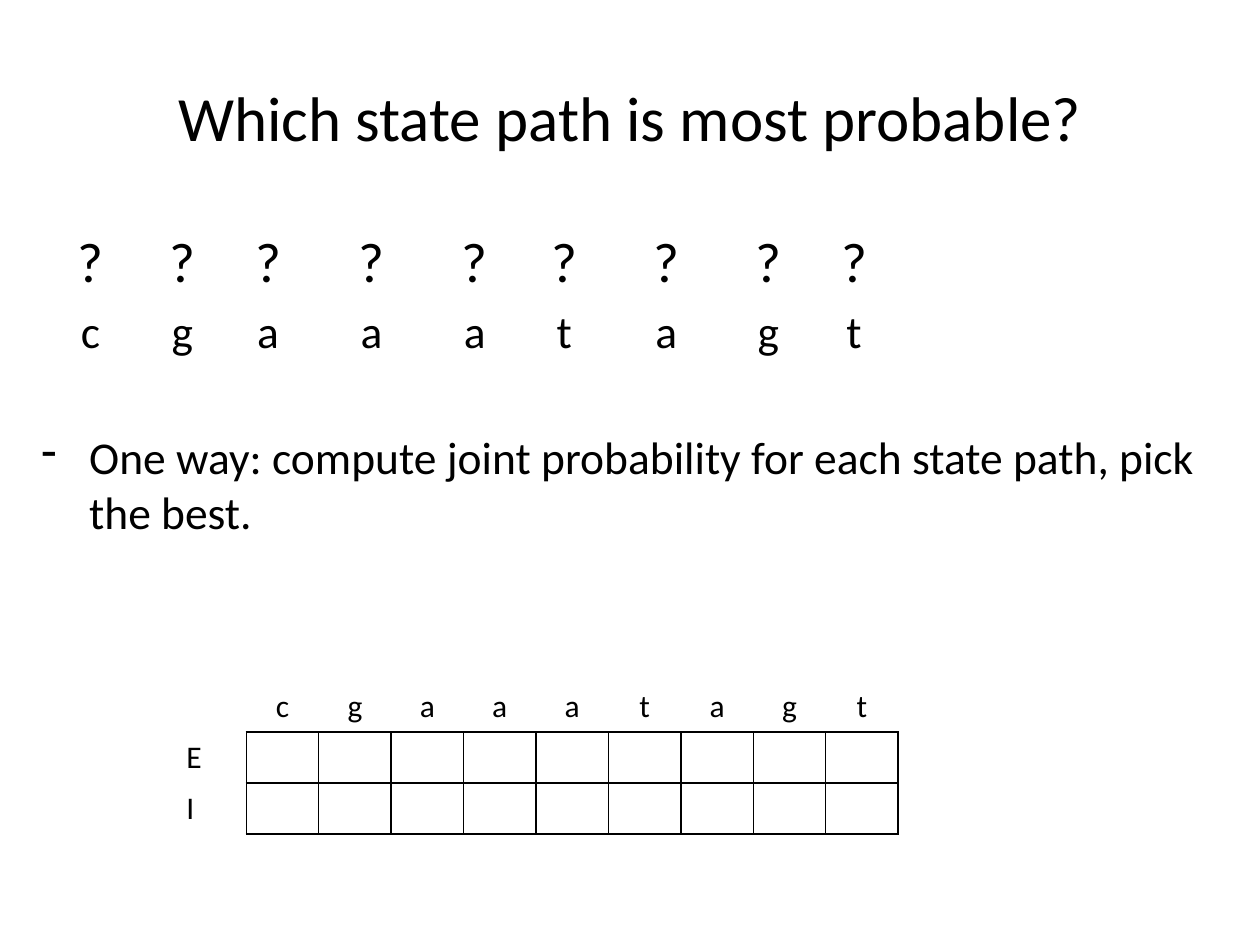
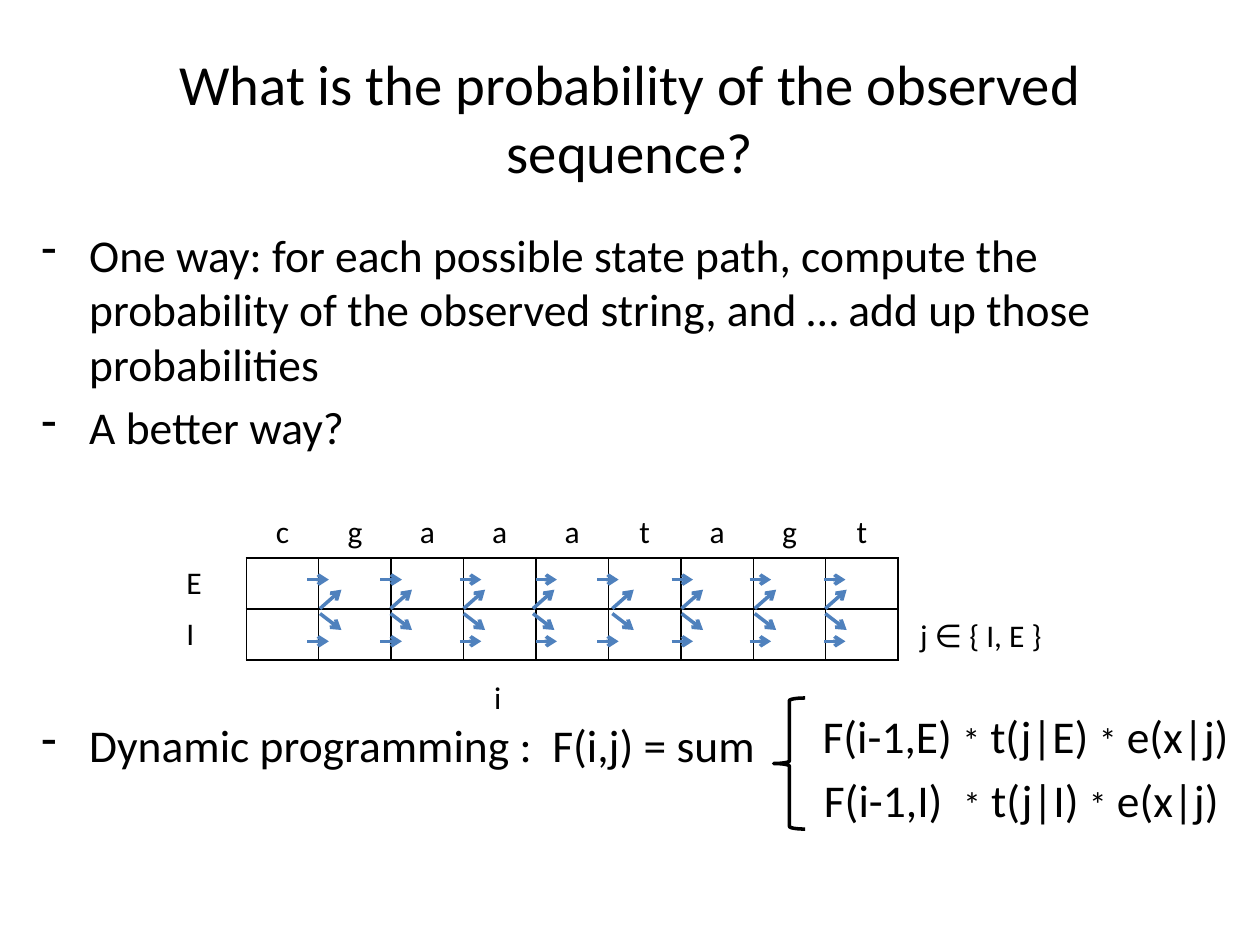
from lxml import etree
from pptx import Presentation
from pptx.dml.color import RGBColor
from pptx.enum.shapes import MSO_CONNECTOR, MSO_SHAPE
from pptx.enum.text import MSO_ANCHOR, PP_ALIGN
from pptx.oxml.ns import qn
from pptx.util import Inches, Pt

LEFT, CENTER = PP_ALIGN.LEFT, PP_ALIGN.CENTER
TOP, MIDDLE = MSO_ANCHOR.TOP, MSO_ANCHOR.MIDDLE
STRAIGHT = MSO_CONNECTOR.STRAIGHT
LEFT_BRACE = MSO_SHAPE.LEFT_BRACE

COLORS = {"ink": "000000", "arrow": "4F81BD"}
FONT = "Calibri"
BODY_SIZE, LABEL_SIZE, TIMES_SIZE = 26, 18, 20
SPACE_SHARE = 0.2
HANG = 0.38

SEQUENCE = "cgaaatagt"
STATES = "EI"
TITLE_BOX = (0.5, 0.3, 9, 1.25)
BODY_BOX = (0.23, 1.75, 9.5, 4.95)
SEQUENCE_STOPS = (0.39, 1.12, 1.8, 2.62, 3.44, 4.15, 4.96, 5.77, 6.45)

PATH_TITLE = ("Which state path is most probable?", 36)
PATH_ROWS = [("?" * len(SEQUENCE), 32), (SEQUENCE, BODY_SIZE)]
PATH_BULLETS = [
    ("One way: compute joint probability for each state path, pick the best.", 41),
]

TOTAL_TITLE = ("What is the probability of the observed sequence?", 32.4)
TOTAL_BULLETS = [
    ("One way: for each possible state path, compute the probability of the "
     "observed string, and … add up those probabilities", None),
    ("A better way?", None),
    ("Dynamic programming :  F(i,j) = sum", 150.5),
]
RECURRENCE = [
    ("F(i-1,E) * t(j|E) * e(x|j)", (6.43, 5.57, 3.44, 0.54)),
    ("F(i-1,I)  * t(j|I) * e(x|j)", (6.44, 6.08, 3.35, 0.54)),
]
INDEX_LABELS = [
    ("i", (3.82, 5.33, 0.26, 0.4)),
    ("j ∈ { I, E }", (7.18, 4.84, 1.21, 0.4)),
]
BRACE_BOX = (6.14, 5.54, 0.25, 1.04)

TRELLIS_LEFT, TRELLIS_WIDTH, TRELLIS_HEIGHT = 1.38, 5.75, 1.62
TRELLIS_TOPS = {"path": 5, "total": 3.62}
ARROW_LENGTH = 0.17
STAY_STARTS = (2.44, 3.02, 3.65, 4.25, 4.74, 5.33, 5.95, 6.54)
SWITCH_STARTS = (2.54, 3.1, 3.68, 4.23, 4.86, 5.41, 5.99, 6.55)
STAY_LEVELS = (5.09, 4.6)
SWITCH_LEVELS = ((4.87, 5), (4.83, 4.68))


def inches(lengths):
    return [Inches(length) for length in lengths]


def color(name):
    return RGBColor.from_string(COLORS[name])


def add_xml(parent, tag, **attributes):
    return etree.SubElement(parent, qn(tag), attributes)


def style(paragraph, size, align=LEFT):
    paragraph.alignment = align
    font = paragraph.font
    font.name, font.size = FONT, Pt(size)
    font.color.rgb = color("ink")


def add_frame(slide, box, wrap=True, anchor=TOP):
    frame = slide.shapes.add_textbox(*inches(box)).text_frame
    frame.word_wrap = wrap
    frame.vertical_anchor = anchor
    return frame


def add_label(slide, text, box, size, align=CENTER, wrap=False, anchor=TOP):
    paragraph = add_frame(slide, box, wrap, anchor).paragraphs[0]
    paragraph.text = text
    style(paragraph, size, align)


def add_body(slide, rows, bullets):
    frame = add_frame(slide, BODY_BOX)
    lines = [(row, size, None, False) for row, size in rows]
    lines += [(text, BODY_SIZE, gap, True) for text, gap in bullets]
    for number, (text, size, gap, bulleted) in enumerate(lines):
        paragraph = frame.add_paragraph() if number else frame.paragraphs[0]
        paragraph.space_before = Pt(gap or size * SPACE_SHARE)
        properties = paragraph._p.get_or_add_pPr()
        if bulleted:
            paragraph.text = text
            properties.set("marL", str(Inches(HANG)))
            properties.set("indent", str(-Inches(HANG)))
            add_xml(properties, "a:buChar", char="-")
        else:
            paragraph.text = "".join("\t" + symbol for symbol in text)
            stops = add_xml(properties, "a:tabLst")
            for stop in SEQUENCE_STOPS:
                add_xml(stops, "a:tab", pos=str(Inches(stop)), algn="ctr")
        style(paragraph, size)


def set_borders(cell, sides):
    properties = cell._tc.get_or_add_tcPr()
    for side in "LRTB":
        edge = add_xml(properties, "a:ln" + side, w=str(Pt(1)))
        if side in sides:
            fill = add_xml(edge, "a:solidFill")
            add_xml(fill, "a:srgbClr", val=COLORS["ink"])
        else:
            add_xml(edge, "a:noFill")
    cell.fill.background()


def add_trellis(slide, top):
    blank_row = [""] * (len(SEQUENCE) + 1)
    rows = [blank_row, ["", *SEQUENCE]]
    rows += [[state, *blank_row[1:]] for state in STATES]
    box = inches((TRELLIS_LEFT, top, TRELLIS_WIDTH, TRELLIS_HEIGHT))
    table = slide.shapes.add_table(len(rows), len(blank_row), *box).table
    table.first_row = table.horz_banding = False
    for r, row in enumerate(rows):
        for c, text in enumerate(row):
            cell = table.cell(r, c)
            paragraph = cell.text_frame.paragraphs[0]
            paragraph.text = text
            style(paragraph, LABEL_SIZE, CENTER if c else LEFT)
            if r > 1:
                sides = "LRTB" if c else "R"
            else:
                sides = "B" if r and c else ""
            set_borders(cell, sides)


def add_arrows(shapes, starts, level_from, level_to):
    for start in starts:
        ends = inches((start, level_from, start + ARROW_LENGTH, level_to))
        arrow = shapes.add_connector(STRAIGHT, *ends)
        arrow.line.color.rgb = color("arrow")
        arrow.line.width = Pt(2)
        add_xml(arrow.line._get_or_add_ln(), "a:tailEnd", type="arrow")
        add_xml(arrow._element.spPr, "a:effectLst")


def add_brace(slide):
    brace = slide.shapes.add_shape(LEFT_BRACE, *inches(BRACE_BOX))
    brace.shadow.inherit = False
    brace.fill.background()
    brace.line.color.rgb = color("ink")
    brace.line.width = Pt(2)


def add_recurrence(slide, formula, box):
    paragraph = add_frame(slide, box, wrap=False).paragraphs[0]
    for number, factor in enumerate(formula.split("*")):
        if number:
            times = paragraph.add_run()
            times.text = "*"
            times.font.size = Pt(TIMES_SIZE)
        paragraph.add_run().text = factor
    style(paragraph, BODY_SIZE)


def add_slide(deck, title, rows, bullets, trellis_top):
    slide = deck.slides.add_slide(deck.slide_layouts[6])
    text, size = title
    add_label(slide, text, TITLE_BOX, size, wrap=True, anchor=MIDDLE)
    add_body(slide, rows, bullets)
    add_trellis(slide, trellis_top)
    return slide


def main():
    deck = Presentation()
    deck.slide_width, deck.slide_height = Inches(10), Inches(7.5)
    add_slide(deck, PATH_TITLE, PATH_ROWS, PATH_BULLETS, TRELLIS_TOPS["path"])

    total = add_slide(deck, TOTAL_TITLE, [], TOTAL_BULLETS, TRELLIS_TOPS["total"])
    add_brace(total)
    for level in STAY_LEVELS:
        add_arrows(total.shapes, STAY_STARTS, level, level)
    for levels in SWITCH_LEVELS:
        add_arrows(total.shapes.add_group_shape().shapes, SWITCH_STARTS, *levels)
    for formula, box in RECURRENCE:
        add_recurrence(total, formula, box)
    for text, box in INDEX_LABELS:
        add_label(total, text, box, LABEL_SIZE)
    deck.save("out.pptx")


if __name__ == "__main__":
    main()
